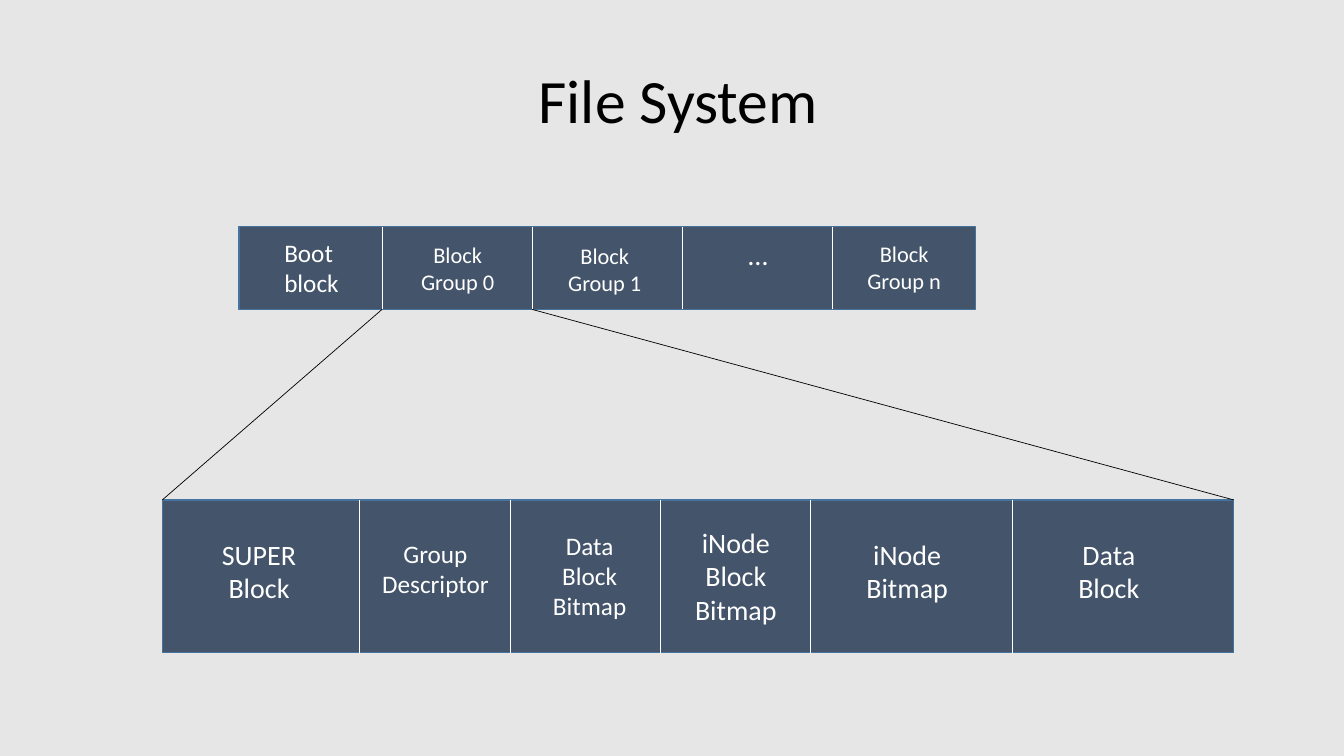
import pptx
import pptx.dml.color
import pptx.enum.shapes
import pptx.enum.text
import pptx.oxml.ns
import pptx.util
import lxml.etree

COLORS = {
    "background": "E7E6E6",
    "block": "44546A",
    "outline": "43739E",
    "light": "FFFFFF",
    "dark": "000000",
}
FONT = "Calibri"
COLUMNS, ROWS = 80, 45
WIDTH, HEIGHT = pptx.util.Inches(13.333), pptx.util.Inches(7.5)


def rgb(name):
    return pptx.dml.color.RGBColor.from_string(COLORS[name])


class DiagramSlide:
    """Draws on one slide; every length is in grid columns and rows."""

    def __init__(self, deck):
        self.slide = deck.slides.add_slide(deck.slide_layouts[5])
        backdrop = self.slide.background.fill
        backdrop.solid()
        backdrop.fore_color.rgb = rgb("background")

    def place(self, left, top, width, height):
        """Turn grid units into slide lengths."""
        return (round(left * WIDTH / COLUMNS), round(top * HEIGHT / ROWS),
                round(width * WIDTH / COLUMNS), round(height * HEIGHT / ROWS))

    def add_lines(self, frame, lines, size, color):
        frame.vertical_anchor = pptx.enum.text.MSO_ANCHOR.TOP
        for number, line in enumerate(lines):
            paragraph = frame.add_paragraph() if number else frame.paragraphs[0]
            paragraph.alignment = pptx.enum.text.PP_ALIGN.CENTER
            run = paragraph.add_run()
            run.text = line
            run.font.name = FONT
            run.font.size = pptx.util.Pt(size)
            run.font.color.rgb = rgb(color)

    def title(self, text, box):
        heading = self.slide.shapes.title
        heading.left, heading.top, heading.width, heading.height = self.place(*box)
        heading.text_frame.word_wrap = False
        heading.text_frame.auto_size = pptx.enum.text.MSO_AUTO_SIZE.NONE
        self.add_lines(heading.text_frame, [text], 44, "dark")

    def label(self, lines, size, box):
        frame = self.slide.shapes.add_textbox(*self.place(*box)).text_frame
        frame.word_wrap = True
        frame.auto_size = pptx.enum.text.MSO_AUTO_SIZE.SHAPE_TO_FIT_TEXT
        self.add_lines(frame, lines, size, "light")

    def line(self, start, end, color):
        connector = self.slide.shapes.add_connector(
            pptx.enum.shapes.MSO_CONNECTOR.STRAIGHT,
            *self.place(*start, *end))
        connector.line.color.rgb = rgb(color)
        connector.line.width = pptx.util.Pt(0.5)
        lxml.etree.SubElement(connector._element.spPr,
                              pptx.oxml.ns.qn("a:effectLst"))

    def strip(self, box, dividers, labels):
        """Draw a bar cut into blocks by dividers, with a label on each."""
        bar = self.slide.shapes.add_shape(
            pptx.enum.shapes.MSO_SHAPE.RECTANGLE, *self.place(*box))
        bar.shadow.inherit = False
        bar.fill.solid()
        bar.fill.fore_color.rgb = rgb("block")
        bar.line.color.rgb = rgb("outline")
        bar.line.width = pptx.util.Pt(1)
        top, bottom = box[1], box[1] + box[3]
        for column in dividers:
            self.line((column, top), (column, bottom), "light")
        for lines, size, label_box in labels:
            self.label(lines, size, label_box)


DISK = (14.22, 13.5, 43.86, 4.92)
GROUP = (9.66, 29.76, 63.78, 9.1)
BLOCK_STEP = 8.94
DISK_DIVIDERS = [22.74 + BLOCK_STEP * i for i in range(4)]
GROUP_DIVIDERS = [21.42 + BLOCK_STEP * i for i in range(4)] + [60.24]

DISK_LABELS = [
    (["Boot ", "block"], 18, (15.42, 13.8, 6.24, 4.26)),
    (["Block Group 0"], 16, (24.12, 14.04, 6.24, 3.84)),
    (["Block Group 1"], 16, (32.88, 14.1, 6.24, 3.84)),
    (["…"], 20, (42, 13.86, 6.24, 2.64)),
    (["Block", "Group n"], 16, (50.7, 13.98, 6.24, 3.84)),
]
GROUP_LABELS = [
    (["SUPER", "Block"], 20, (12.36, 31.68, 6.12, 4.62)),
    (["Group Descriptor"], 18, (21.66, 31.74, 8.52, 4.26)),
    (["Data", "Block", "Bitmap"], 18, (30.84, 31.26, 8.52, 6.06)),
    (["iNode", "Block", "Bitmap"], 20, (40.74, 30.96, 6.12, 6.66)),
    (["iNode", "Bitmap"], 20, (49.38, 31.68, 9.24, 4.62)),
    (["Data", "Block"], 20, (62.94, 31.68, 6.12, 4.62)),
]


def main():
    deck = pptx.Presentation()
    deck.slide_width, deck.slide_height = WIDTH, HEIGHT
    diagram = DiagramSlide(deck)
    diagram.title("File System", (31.38, 3.36, 18, 5.04))
    diagram.strip(DISK, DISK_DIVIDERS, DISK_LABELS)
    diagram.strip(GROUP, GROUP_DIVIDERS, GROUP_LABELS)

    disk_bottom = DISK[1] + DISK[3]
    group_corners = (GROUP[0], GROUP[0] + GROUP[2])
    for block_edge, corner in zip(DISK_DIVIDERS, group_corners):
        diagram.line((block_edge, disk_bottom), (corner, GROUP[1]), "dark")
    deck.save("out.pptx")


if __name__ == "__main__":
    main()
